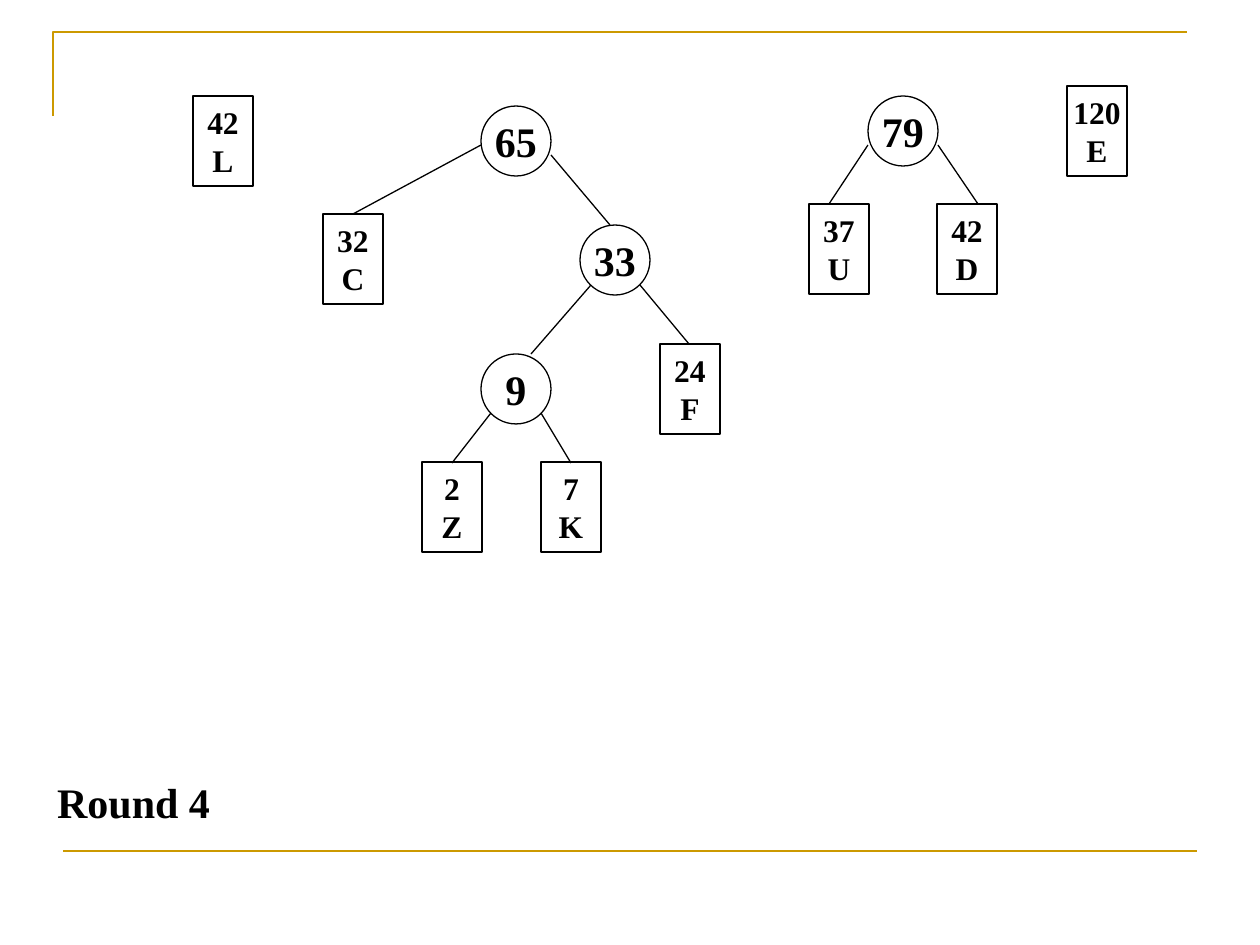
from dataclasses import dataclass

from lxml import etree
from pptx import Presentation
from pptx.dml.color import RGBColor
from pptx.enum.shapes import MSO_CONNECTOR, MSO_SHAPE
from pptx.enum.text import MSO_ANCHOR, MSO_AUTO_SIZE, PP_ALIGN
from pptx.oxml.ns import qn
from pptx.util import Pt

STRAIGHT = MSO_CONNECTOR.STRAIGHT
RECTANGLE, OVAL = MSO_SHAPE.RECTANGLE, MSO_SHAPE.OVAL
TOP, MIDDLE = MSO_ANCHOR.TOP, MSO_ANCHOR.MIDDLE
FIT_SHAPE = MSO_AUTO_SIZE.SHAPE_TO_FIT_TEXT
CENTER = PP_ALIGN.CENTER

EMU_PER_PX = 914400 / 126
TITLE_ONLY = 5


@dataclass(frozen=True)
class Theme:
    ink: RGBColor = RGBColor(0x00, 0x00, 0x00)
    gold: RGBColor = RGBColor(0xCC, 0x99, 0x00)
    font: str = "Times New Roman"
    large: float = 24
    small: float = 18
    thin: float = 0.75
    thick: float = 1.5


THEME = Theme()
LEAF_SIZE = (60, 90)
NODE_SIZE = (70, 70)

# Leaves: weight, letter, left, top
LEAVES = [
    ("2", "Z", 422, 462), ("7", "K", 541, 462), ("24", "F", 660, 344),
    ("32", "C", 323, 214), ("37", "U", 809, 204), ("42", "D", 937, 204),
    ("42", "L", 193, 96), ("120", "E", 1067, 86),
]

# Inner nodes: weight, left, top, edges to the two children
NODES = [
    ("9", 481, 354, [(491, 413, 452, 463), (541, 413, 571, 463)]),
    ("33", 580, 225, [(591, 285, 531, 354), (640, 285, 689, 344)]),
    ("65", 481, 106, [(481, 145, 353, 214), (551, 155, 610, 225)]),
    ("79", 868, 96, [(868, 145, 829, 204), (938, 145, 978, 204)]),
]


def px(*lengths):
    return [round(length * EMU_PER_PX) for length in lengths]


def set_line(shape, color, width):
    shape.line.color.rgb = color
    shape.line.width = Pt(width)


def write_text(shape, lines, size, anchor=MIDDLE):
    frame = shape.text_frame
    frame.word_wrap = False
    frame.vertical_anchor = anchor
    frame.text = "\n".join(lines)
    for para in frame.paragraphs:
        para.alignment = CENTER
        para.font.name = THEME.font
        para.font.size = Pt(size)
        para.font.bold = True
        para.font.color.rgb = THEME.ink


def add_line(slide, ends, color=THEME.ink, width=THEME.thin):
    line = slide.shapes.add_connector(STRAIGHT, *px(*ends))
    set_line(line, color, width)
    etree.SubElement(line._element.spPr, qn("a:effectLst"))


def add_box(slide, preset, left, top, size, lines, text_size):
    box = slide.shapes.add_shape(preset, *px(left, top, *size))
    box.shadow.inherit = False
    box.fill.background()
    set_line(box, THEME.ink, THEME.thin)
    write_text(box, lines, text_size)


def add_frame(slide):
    builder = slide.shapes.build_freeform(*px(53, 116), scale=1.0)
    builder.add_line_segments([px(53, 32), px(1187, 32)], close=False)
    corner = builder.convert_to_shape()
    corner.shadow.inherit = False
    corner.fill.background()
    set_line(corner, THEME.gold, THEME.thick)
    add_line(slide, (63, 851, 1197, 851), THEME.gold, THEME.thick)


def set_title(slide, text):
    title = slide.shapes.title
    title.left, title.top, title.width, title.height = px(44, 770, 179, 63)
    write_text(title, [text], THEME.large, TOP)
    title.text_frame.auto_size = FIT_SHAPE


def main():
    deck = Presentation()
    deck.slide_width, deck.slide_height = px(1260, 945)
    slide = deck.slides.add_slide(deck.slide_layouts[TITLE_ONLY])

    # Gold rules around the page
    add_frame(slide)

    # Trees of the current round
    for weight, letter, left, top in LEAVES:
        add_box(slide, RECTANGLE, left, top, LEAF_SIZE,
                [weight, letter], THEME.small)
    for weight, left, top, edges in NODES:
        add_box(slide, OVAL, left, top, NODE_SIZE, [weight], THEME.large)
        for ends in edges:
            add_line(slide, ends)

    # Round label
    set_title(slide, "Round 4")
    deck.save("out.pptx")


if __name__ == "__main__":
    main()
